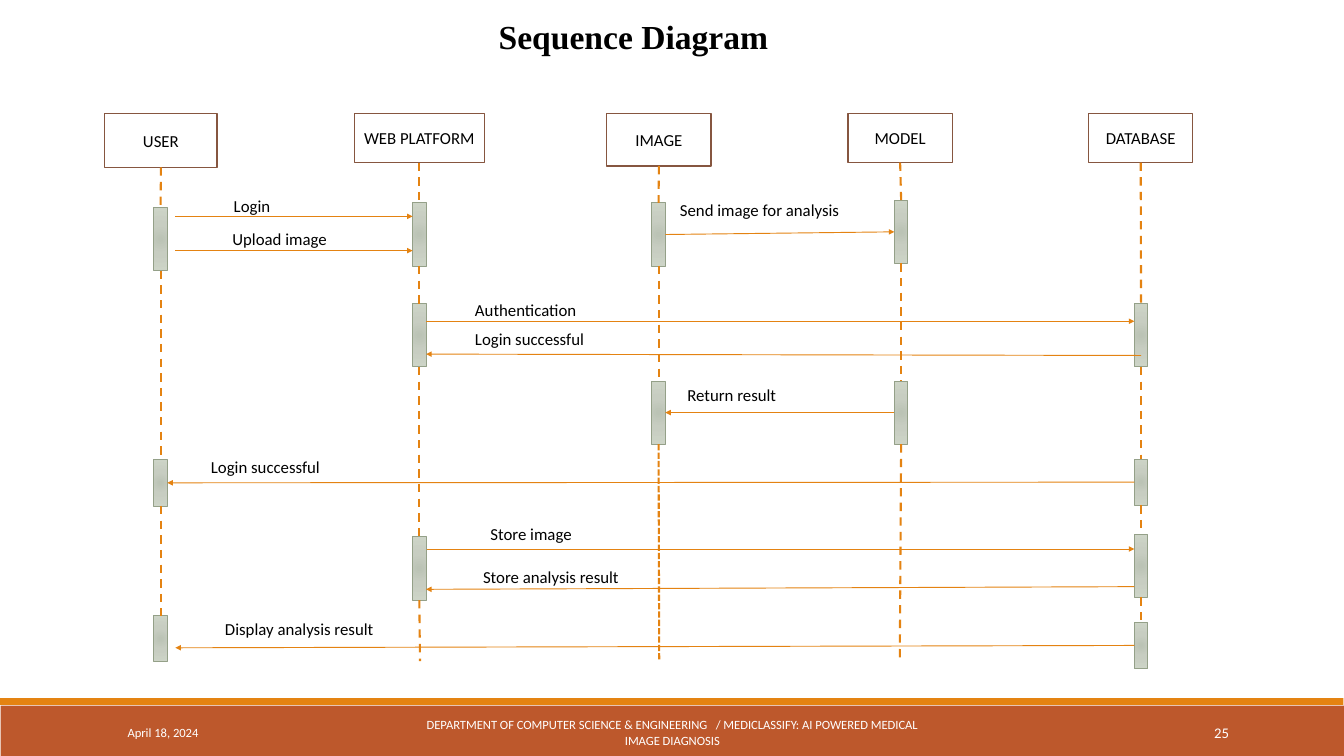
"""Build a UML-style sequence diagram slide with lifelines, activations and messages."""
from pptx import Presentation
from pptx.dml.color import RGBColor
from pptx.enum.dml import MSO_LINE
from pptx.enum.shapes import MSO_CONNECTOR, MSO_SHAPE
from pptx.enum.text import MSO_ANCHOR, MSO_AUTO_SIZE, PP_ALIGN
from pptx.oxml import parse_xml
from pptx.oxml.ns import nsdecls, qn
from pptx.util import Inches, Pt

WHITE = RGBColor(0xFF, 0xFF, 0xFF)
BLACK = RGBColor(0x00, 0x00, 0x00)
ORANGE = RGBColor(0xE4, 0x83, 0x12)
RUST = RGBColor(0xBD, 0x58, 0x2C)
BROWN = RGBColor(0x86, 0x56, 0x40)
SAGE = RGBColor(0x94, 0xA0, 0x88)
SAGE_STOPS = [(0, RGBColor(0xBB, 0xC3, 0xB5)), (45, RGBColor(0xC7, 0xCD, 0xC1)),
              (100, RGBColor(0xCD, 0xD4, 0xC7))]

TOP, BAR_W = 1.69, 0.2
LEFT, RIGHT = 1, 3
TALL, SHORT = 0.94, 0.69

# name: (header left, width, height), bar centre, [(bar top, height)], open end
LIFELINES = {
    "USER": ((1.56, 1.67, 0.8), 2.39, [(3.09, TALL), (6.84, SHORT), (9.16, SHORT)], None),
    "WEB PLATFORM": ((5.27, 1.94, 0.73), 6.24, [(3.02, TALL), (4.52, TALL), (7.99, TALL)],
                     (6.25, 9.84)),
    "IMAGE": ((9.03, 1.55, 0.78), 9.8, [(3.02, TALL), (5.67, TALL)], (9.81, 9.84)),
    "MODEL": ((12.62, 1.55, 0.73), 13.41, [(2.98, TALL), (5.67, TALL)], (13.39, 9.84)),
    "DATABASE": ((16.2, 1.55, 0.73), 16.98,
                 [(4.52, TALL), (6.83, SHORT), (7.95, TALL), (9.26, SHORT)], None),
}

MESSAGES = [
    ("Login", (3.38, 2.86, 0.75), (2.61, 3.22), (6.14, 3.22)),
    ("Upload image", (3.36, 3.36, 1.62), (2.61, 3.73), (6.14, 3.73)),
    ("Send image for analysis", (10.02, 2.92, 2.6), ("IMAGE", 0, RIGHT), ("MODEL", 0, LEFT)),
    ("Authentication", (6.97, 4.41, 1.73), (6.34, 4.78), (16.88, 4.78)),
    ("Login successful", (6.97, 4.84, 1.84), (16.98, 5.29), (6.34, 5.27)),
    ("Return result", (10.13, 5.67, 1.54), ("MODEL", 1, LEFT), ("IMAGE", 1, RIGHT)),
    ("Login successful", (3.04, 6.74, 1.84), ("DATABASE", 1, LEFT), ("USER", 1, RIGHT)),
    ("Store image", (7.2, 7.74, 1.42), (6.35, 8.17), (16.88, 8.17)),
    ("Store analysis result", (7.09, 8.38, 2.24), (16.88, 8.73), (6.34, 8.77)),
    ("Display analysis result", (3.25, 9.16, 2.43), ("DATABASE", 3, LEFT), (2.61, 9.64)),
]

FOOTER = "DEPARTMENT OF COMPUTER SCIENCE & ENGINEERING   / MEDICLASSIFY: AI POWERED MEDICAL IMAGE DIAGNOSIS"


def write(s, text, size=18, font="Calibri", color=BLACK, bold=False,
          align=PP_ALIGN.LEFT, anchor=MSO_ANCHOR.TOP, wrap=True):
    """Put one formatted paragraph into a shape."""
    tf = s.text_frame
    tf.word_wrap, tf.vertical_anchor = wrap, anchor
    tf.auto_size = MSO_AUTO_SIZE.NONE
    p = tf.paragraphs[0]
    p.alignment = align
    r = p.add_run()
    r.text = text
    r.font.size, r.font.name, r.font.bold = Pt(size), font, bold
    r.font.color.rgb = color


def add_label(slide, text, left, top, width, height=0.4, **fmt):
    """Add a text box."""
    s = slide.shapes.add_textbox(*map(Inches, (left, top, width, height)))
    write(s, text, **fmt)


def add_rect(slide, left, top, width, height, fill=None, line=None, weight=1):
    """Add a rectangle with an optional solid fill and outline."""
    s = slide.shapes.add_shape(MSO_SHAPE.RECTANGLE, *map(Inches, (left, top, width, height)))
    s.shadow.inherit = False
    if fill is None:
        s.fill.background()
    else:
        s.fill.solid()
        s.fill.fore_color.rgb = fill
    if line is None:
        s.line.fill.background()
    else:
        s.line.color.rgb, s.line.width = line, Pt(weight)
    return s


def add_bar(slide, centre, top, height):
    """Add an activation bar with a radial sage gradient."""
    s = add_rect(slide, centre - BAR_W / 2, top, BAR_W, height, line=SAGE)
    stops = "".join(f'<a:gs pos="{pos * 1000}"><a:srgbClr val="{color}"/></a:gs>'
                    for pos, color in SAGE_STOPS)
    grad = parse_xml(f'<a:gradFill {nsdecls("a")}><a:gsLst>{stops}</a:gsLst><a:path path="circle">'
                     '<a:fillToRect l="100000" t="100000" r="100000" b="100000"/>'
                     '</a:path></a:gradFill>')
    spPr = s.element.spPr
    spPr.replace(spPr.find(qn("a:noFill")), grad)
    return s


def add_line(slide, start, end, weight=1, dash=None, arrow=False):
    """Connect two ends, each an (x, y) point or a (shape, site) pair."""
    c = slide.shapes.add_connector(MSO_CONNECTOR.STRAIGHT, 0, 0, 0, 0)
    if hasattr(start[0], "shape_id"):
        c.begin_connect(*start)
    else:
        c.begin_x, c.begin_y = map(Inches, start)
    if hasattr(end[0], "shape_id"):
        c.end_connect(*end)
    else:
        c.end_x, c.end_y = map(Inches, end)
    c.line.color.rgb, c.line.width = ORANGE, Pt(weight)
    if dash:
        c.line.dash_style = dash
    if arrow:
        c.line._get_or_add_ln().append(parse_xml(f'<a:tailEnd {nsdecls("a")} type="triangle"/>'))
    c._element.spPr.append(parse_xml(f'<a:effectLst {nsdecls("a")}/>'))
    return c


def add_lifeline(slide, name):
    """Add a header, its activation bars and the dashes between; return the bars."""
    (left, width, height), centre, spans, end = LIFELINES[name]
    header = add_rect(slide, left, TOP, width, height, WHITE, BROWN, 1.25)
    write(header, name, align=PP_ALIGN.CENTER, anchor=MSO_ANCHOR.MIDDLE)
    bars = [add_bar(slide, centre, *span) for span in spans]
    for upper, lower in zip([header] + bars, bars):
        add_line(slide, (upper, 2), (lower, 0), 2.25, MSO_LINE.DASH)
    if end:
        dash = MSO_LINE.SQUARE_DOT if name == "IMAGE" else MSO_LINE.DASH
        add_line(slide, (bars[-1], 2), end, 2.25, dash)
    return bars


def add_message(slide, bars, text, place, start, end):
    """Add an arrow between lifelines and its label."""
    ends = [(bars[e[0]][e[1]], e[2]) if len(e) == 3 else e for e in (start, end)]
    add_line(slide, *ends, arrow=True)
    add_label(slide, text, *place, wrap=False)


def add_footer(slide):
    """Add the footer bands with date, department and slide number."""
    add_rect(slide, 0.01, 10.5, 19.99, 0.75, RUST)
    add_rect(slide, 0, 10.39, 19.99, 0.1, ORANGE)
    for text, left, width, size, align in (
            ("April 18, 2024", 1.8, 4.06, 13.5, PP_ALIGN.LEFT),
            (FOOTER, 6.05, 7.91, 13.5, PP_ALIGN.CENTER),
            ("25", 16.24, 2.15, 15.8, PP_ALIGN.RIGHT)):
        add_label(slide, text, left, 10.6, width, 0.6, size=size, color=WHITE,
                  align=align, anchor=MSO_ANCHOR.MIDDLE)


def add_title(slide, text):
    """Place and format the title placeholder."""
    s = slide.shapes.title
    s.left, s.top, s.width, s.height = map(Inches, (7.32, 0.18, 10, 0.71))
    write(s, text, size=36, font="Times New Roman", bold=True)


def main():
    """Build and save the slide."""
    prs = Presentation()
    prs.slide_width, prs.slide_height = Inches(20), Inches(11.25)
    slide = prs.slides.add_slide(prs.slide_layouts[5])
    add_footer(slide)
    add_title(slide, "Sequence Diagram")
    bars = {name: add_lifeline(slide, name) for name in LIFELINES}
    for message in MESSAGES:
        add_message(slide, bars, *message)
    prs.save("out.pptx")


if __name__ == "__main__":
    main()
